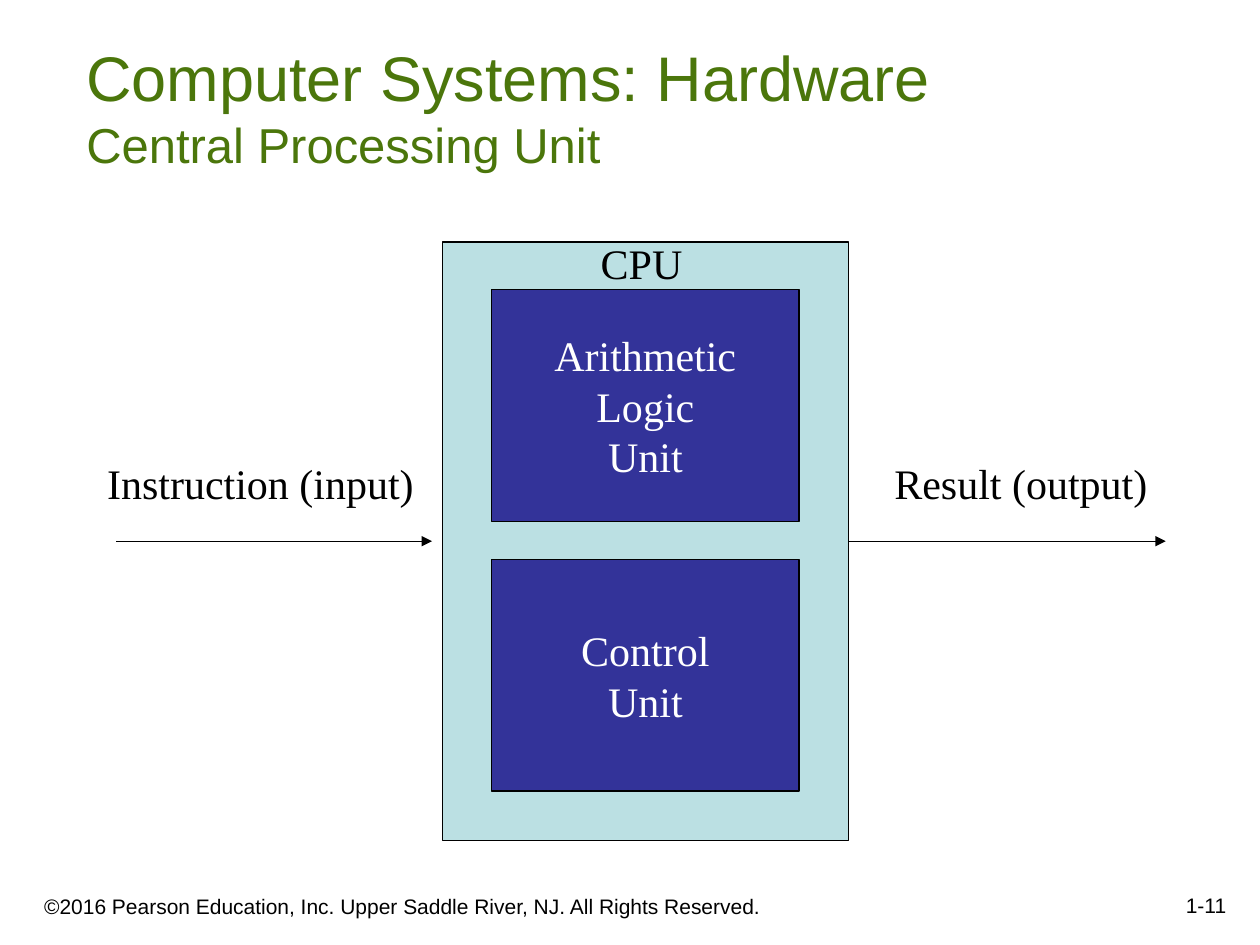
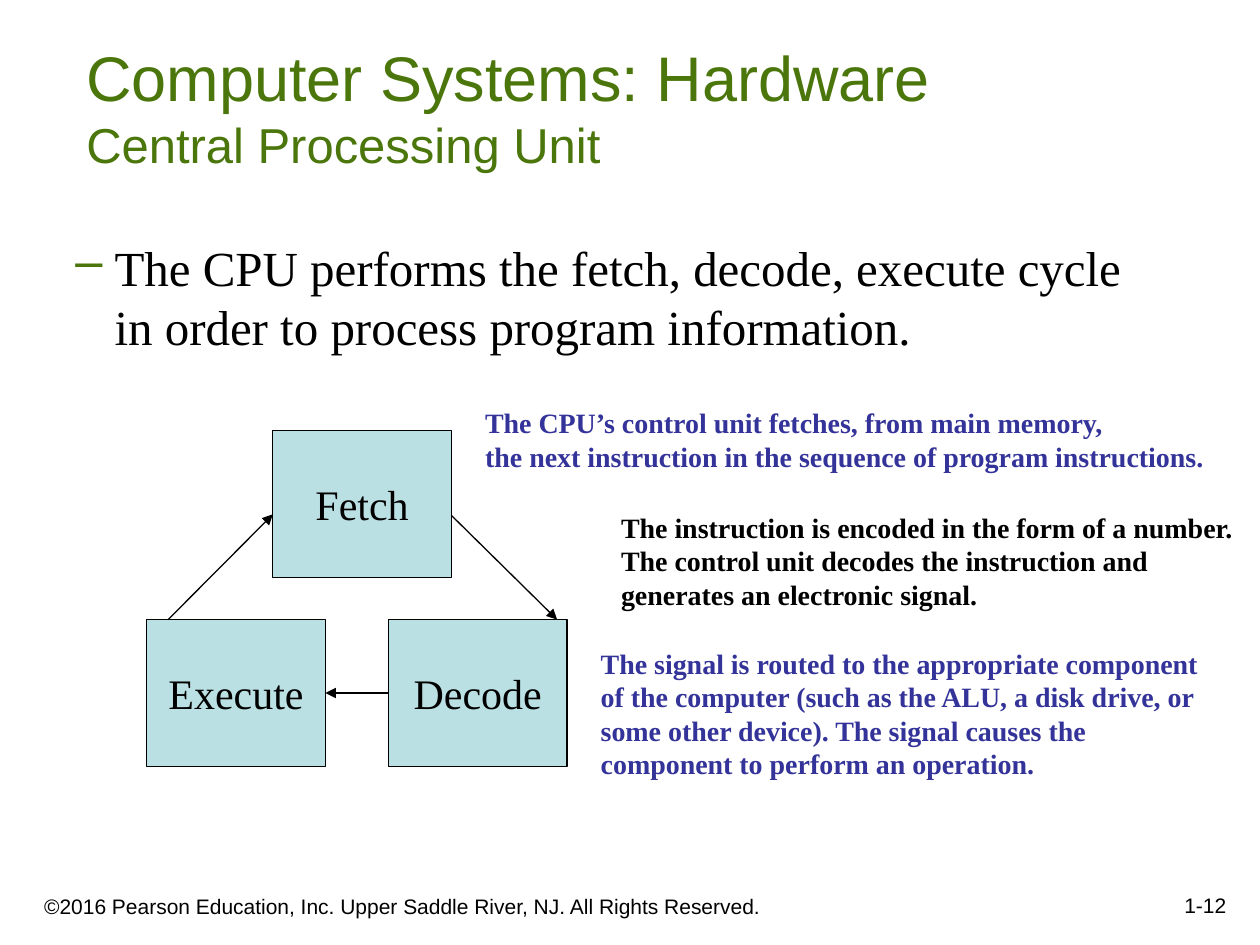
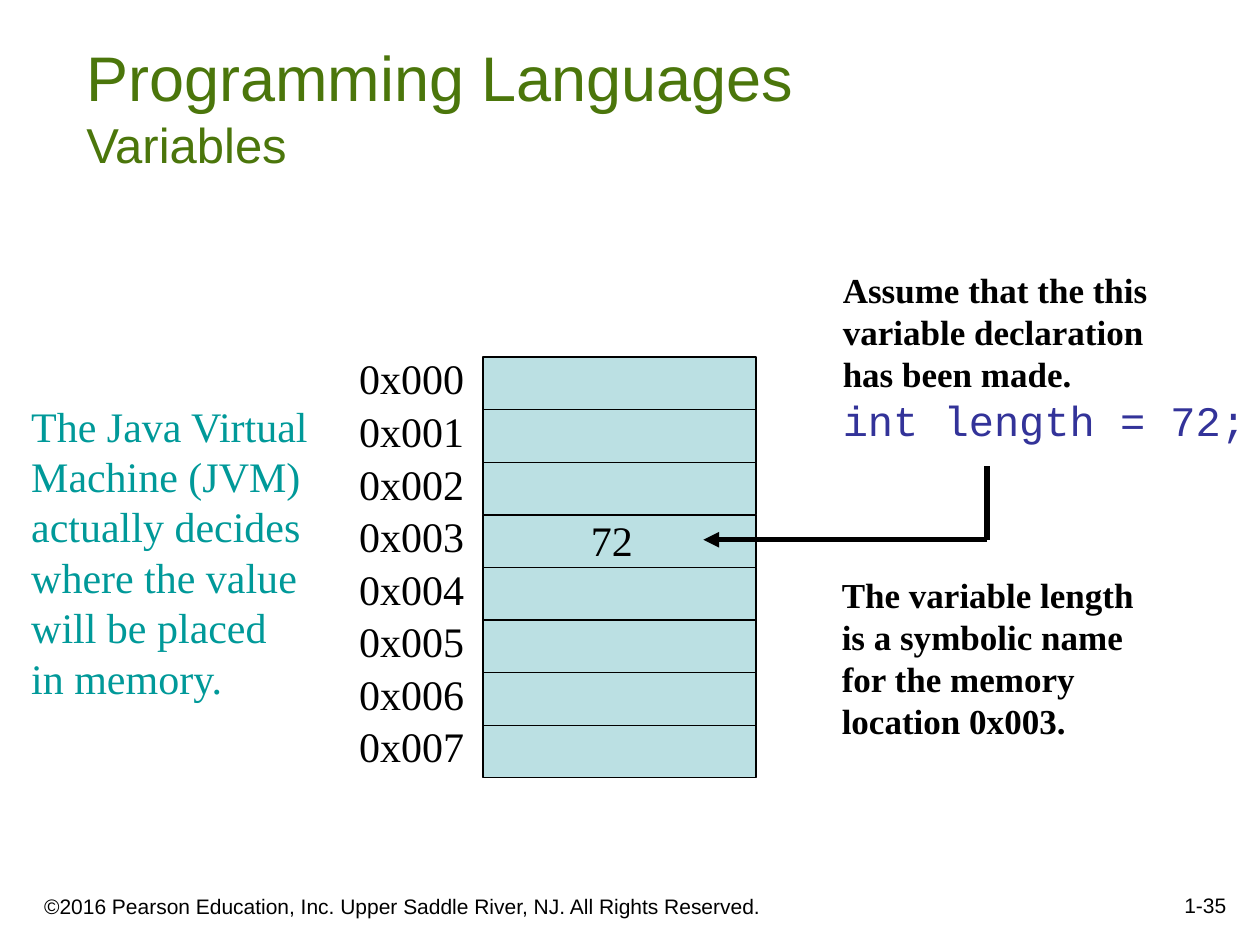
from lxml import etree
from pptx import Presentation
from pptx.dml.color import RGBColor
from pptx.enum.shapes import MSO_CONNECTOR, MSO_SHAPE
from pptx.enum.text import MSO_ANCHOR, PP_ALIGN
from pptx.oxml.ns import qn
from pptx.util import Cm, Pt

LEFT, CENTER, RIGHT = PP_ALIGN.LEFT, PP_ALIGN.CENTER, PP_ALIGN.RIGHT
TOP, MIDDLE, BOTTOM = MSO_ANCHOR.TOP, MSO_ANCHOR.MIDDLE, MSO_ANCHOR.BOTTOM
RECT, STRAIGHT = MSO_SHAPE.RECTANGLE, MSO_CONNECTOR.STRAIGHT


class Theme:
    black, white = RGBColor(0, 0, 0), RGBColor(255, 255, 255)
    green = RGBColor(0x4B, 0x76, 0x0B)
    navy = RGBColor(0x33, 0x33, 0x99)
    pale = RGBColor(0xBB, 0xE0, 0xE3)
    teal = RGBColor(0, 0x99, 0x99)
    sans, serif, mono = "Arial", "Times New Roman", "Courier New"
    thin, thick = 0.75, 3
    # Text styles: font, size, colour, bold
    title = (sans, 36, green, False)
    under = (sans, 28, green, False)
    foot = (sans, 12, black, False)
    body = (serif, 28, black, False)
    label = (serif, 24, black, False)
    unit = (serif, 24, white, False)
    aside = (serif, 24, teal, False)
    note = (serif, 16, black, True)
    accent = (serif, 16, navy, True)
    strong = (serif, 20, black, True)
    code = (mono, 24, navy, False)


def put(slide, at, lines=(), fill=None, align=LEFT, anchor=TOP, wrap=True):
    """Add a filled box or a plain text box; lines are (style, text) pairs."""
    place = [Cm(n) for n in at]
    if fill is None:
        box = slide.shapes.add_textbox(*place)
    else:
        box = slide.shapes.add_shape(RECT, *place)
        box.shadow.inherit = False
        box.fill.solid()
        box.fill.fore_color.rgb = fill
        box.line.color.rgb = Theme.black
        box.line.width = Pt(Theme.thin)
    frame = box.text_frame
    frame.word_wrap = wrap
    frame.vertical_anchor = anchor
    for i, (style, text) in enumerate(lines):
        para = frame.add_paragraph() if i else frame.paragraphs[0]
        para.alignment = align
        run = para.add_run()
        run.text = text
        font = run.font
        font.name, size, font.color.rgb, font.bold = style
        font.size = Pt(size)
    return box


def link(slide, start, end, width=Theme.thin, head=True):
    """Add a straight line from start to end, with an arrowhead at the end."""
    line = slide.shapes.add_connector(STRAIGHT, *[Cm(n) for n in start + end])
    line.line.color.rgb = Theme.black
    line.line.width = Pt(width)
    if head:
        etree.SubElement(line.line._get_or_add_ln(), qn("a:tailEnd"), type="triangle")
    etree.SubElement(line._element.spPr, qn("a:effectLst"))
    return line


deck = Presentation()
deck.slide_width, deck.slide_height = Cm(25.4), Cm(19.05)

# Shared title and footer
pages = []
for title, under, number in [
    ("Computer Systems: Hardware", "Central Processing Unit", "1-11"),
    ("Computer Systems: Hardware", "Central Processing Unit", "1-12"),
    ("Programming Languages", "Variables", "1-35"),
]:
    page = deck.slides.add_slide(deck.slide_layouts[6])
    put(page, (0.64, 17.58, 15.44, 1.07),
        [(Theme.foot, "©2016 Pearson Education, Inc. Upper Saddle River, NJ. All Rights Reserved.")],
        anchor=BOTTOM)
    put(page, (19.69, 17.35, 5.28, 1.27), [(Theme.foot, number)], align=RIGHT, anchor=BOTTOM)
    put(page, (1.49, 0.84, 23.91, 2.77), [(Theme.title, title), (Theme.under, under)], anchor=BOTTOM)
    pages.append(page)
cpu, cycle, memory = pages

# CPU: the chip and its two units
chip = put(cpu, (8.92, 4.88, 8.18, 12.06), fill=Theme.pale)
for top, words in [(5.84, ["Arithmetic", "Logic", "Unit"]), (11.28, ["Control", "Unit"])]:
    put(cpu, (9.91, top, 6.2, 4.67), [(Theme.unit, word) for word in words],
        Theme.navy, CENTER, MIDDLE, False)

# CPU: labels, input and output
for at, text in [
    ((11.86, 4.66, 2.16, 1.27), "CPU"),
    ((1.91, 9.1, 7, 1.27), "Instruction (input)"),
    ((17.78, 9.1, 6, 1.27), "Result (output)"),
]:
    put(cpu, at, [(Theme.label, text)])
link(cpu, (2.34, 10.91), (8.71, 10.91))
link(cpu, (17.1, 10.91), (23.5, 10.91)).begin_connect(chip, 3)

# Cycle: opening point with a dash bullet
body = put(cycle, (0, 4.66, 23.28, 12.7), [
    (Theme.body, "The CPU performs the fetch, decode, execute cycle in order to process program information.")])
props = body.text_frame.paragraphs[0]._p.get_or_add_pPr()
props.set("marL", str(Cm(2.06)))
props.set("indent", str(Cm(-0.79)))
color = etree.SubElement(props, qn("a:buClr"))
etree.SubElement(color, qn("a:srgbClr"), val=str(Theme.green))
etree.SubElement(props, qn("a:buChar"), char="–")

# Cycle: three steps and the arrows between them
steps = {}
for name, left, top in [("Fetch", 5.5, 8.68), ("Decode", 7.83, 12.49), ("Execute", 2.96, 12.49)]:
    steps[name] = put(cycle, (left, top, 3.6, 2.96), [(Theme.label, name)],
                      Theme.pale, CENTER, MIDDLE, False)
link(cycle, (9.1, 10.39), (11.23, 12.49))
link(cycle, (3.39, 12.49), (5.5, 10.37))
back = link(cycle, (7.83, 13.97), (6.56, 13.97))
back.begin_connect(steps["Decode"], 1)
back.end_connect(steps["Execute"], 3)

# Cycle: a note for each step
put(cycle, (9.53, 8.05, 15.87, 1.63), [
    (Theme.accent, "The CPU’s control unit fetches, from main memory,"),
    (Theme.accent, "the next instruction in the sequence of program instructions.")])
put(cycle, (12.27, 10.16, 13.13, 2.29), [
    (Theme.note, "The instruction is encoded in the form of a number. The control unit "
                 "decodes the instruction and generates an electronic signal.")])
put(cycle, (11.86, 12.9, 12.95, 2.97), [
    (Theme.accent, "The signal is routed to the appropriate component of the computer "
                   "(such as the ALU, a disk drive, or some other device). "
                   "The signal causes the component to perform an operation.")])

# Memory: cells with their addresses
pitch = 1.06
for i in range(8):
    top = 7.2 + i * pitch
    put(memory, (9.74, top, 5.5, pitch), fill=Theme.pale)
    put(memory, (6.99, top - 0.21, 2.62, 1.27), [(Theme.label, f"0x00{i}")], wrap=False)
put(memory, (11.66, 10.24, 1.35, 1.27), [(Theme.label, "72")], wrap=False)

# Memory: notes on both sides
put(memory, (0.38, 7.94, 6.15, 6.35), [(Theme.aside, text) for text in (
    "The Java Virtual", "Machine (JVM)", "actually decides",
    "where the value", "will be placed", "in memory.")], wrap=False)
put(memory, (16.74, 5.29, 8.64, 3.81), [
    (Theme.strong, "Assume that the this"), (Theme.strong, "variable declaration"),
    (Theme.strong, "has been made."), (Theme.code, "int length = 72;")], wrap=False)
put(memory, (16.72, 11.43, 6.4, 3.66), [(Theme.strong, text) for text in (
    "The variable length", "is a symbolic name",
    "for the memory", "location 0x003.")], wrap=False)

# Memory: arrow from the declaration to its cell
link(memory, (19.9, 10.88), (14.18, 10.88), Theme.thick)
link(memory, (19.9, 10.88), (19.9, 9.4), Theme.thick, head=False)

deck.save("out.pptx")
